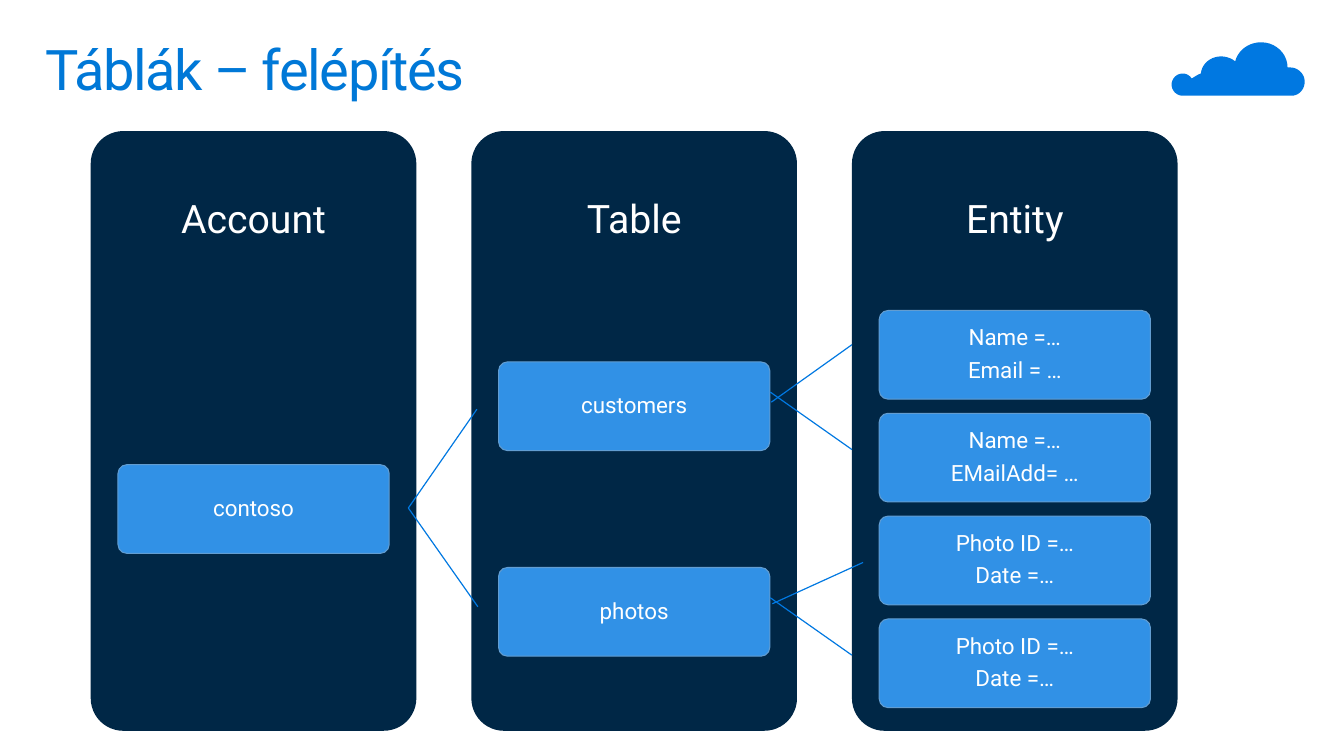
from dataclasses import dataclass

from lxml import etree
from pptx import Presentation
from pptx.dml.color import RGBColor
from pptx.enum.shapes import MSO_CONNECTOR, MSO_SHAPE
from pptx.enum.text import MSO_ANCHOR, PP_ALIGN
from pptx.oxml.ns import qn
from pptx.util import Inches, Pt

ROUNDED = MSO_SHAPE.ROUNDED_RECTANGLE
STRAIGHT = MSO_CONNECTOR.STRAIGHT
TOP, MIDDLE = MSO_ANCHOR.TOP, MSO_ANCHOR.MIDDLE
LEFT, CENTER = PP_ALIGN.LEFT, PP_ALIGN.CENTER


@dataclass(frozen=True)
class Theme:
    font: str = "Roboto"
    title: RGBColor = RGBColor(0x00, 0x78, 0xD7)
    accent: RGBColor = RGBColor(0x00, 0x78, 0xE1)
    column: RGBColor = RGBColor(0x00, 0x27, 0x46)
    card: RGBColor = RGBColor(0x31, 0x91, 0xE6)
    card_edge: RGBColor = RGBColor(0x62, 0x9D, 0xD1)
    white: RGBColor = RGBColor(0xFF, 0xFF, 0xFF)
    title_size: int = 40
    heading_size: int = 28
    card_size: int = 16


THEME = Theme()

COLUMN_LEFT, COLUMN_TOP = 0.9, 1.3
COLUMN_WIDTH, COLUMN_HEIGHT = 3.23, 5.95
COLUMN_PITCH = 7.55 / 2
HEADING_HEIGHT = 1.79
CARD_INDENT, CARD_WIDTH, CARD_HEIGHT = 0.27, 2.69, 0.88
CARD_TOP, CARD_PITCH = 3.08, 1.02

COLUMNS = [
    ("Account", [(1.5, ["contoso"])]),
    ("Table", [(0.5, ["customers"]), (2.5, ["photos"])]),
    ("Entity", [
        (0, ["Name =…", "Email = …"]),
        (1, ["Name =…", "EMailAdd= …"]),
        (2, ["Photo ID =…", "Date =…"]),
        (3, ["Photo ID =…", "Date =…"]),
    ]),
]

LINKS = [
    (4.05, 5.04, 4.73, 4.06),
    (4.05, 5.04, 4.74, 6.02),
    (7.65, 3.99, 8.45, 3.42),
    (7.64, 3.89, 8.45, 4.46),
    (7.66, 5.99, 8.56, 5.58),
    (7.64, 5.93, 8.45, 6.5),
]

CLOUD_START = (12.8, 0.67)
CLOUD_CURVES = [
    ((12.79, 0.67), (12.78, 0.67), (12.77, 0.67)),
    ((12.77, 0.53), (12.65, 0.42), (12.51, 0.42)),
    ((12.38, 0.42), (12.28, 0.5), (12.25, 0.61)),
    ((12.22, 0.58), (12.16, 0.56), (12.11, 0.56)),
    ((12.01, 0.56), (11.92, 0.63), (11.91, 0.73)),
    ((11.88, 0.74), (11.85, 0.76), (11.82, 0.78)),
    ((11.8, 0.75), (11.77, 0.73), (11.73, 0.73)),
    ((11.67, 0.73), (11.62, 0.78), (11.62, 0.84)),
    ((11.62, 0.9), (11.67, 0.95), (11.73, 0.95)),
    ((11.73, 0.95), (12.81, 0.95), (12.81, 0.95)),
    ((12.88, 0.95), (12.94, 0.89), (12.94, 0.81)),
    ((12.94, 0.73), (12.87, 0.67), (12.8, 0.67)),
]
CURVE_STEPS = 10


def curve_point(points, t):
    weights = ((1 - t) ** 3, 3 * t * (1 - t) ** 2, 3 * t**2 * (1 - t), t**3)
    return tuple(
        Inches(sum(weight * point[axis] for weight, point in zip(weights, points)))
        for axis in (0, 1)
    )


def add_cloud(page):
    outline = []
    start = CLOUD_START
    for curve in CLOUD_CURVES:
        for step in range(1, CURVE_STEPS + 1):
            outline.append(curve_point((start, *curve), step / CURVE_STEPS))
        start = curve[-1]
    builder = page.shapes.build_freeform(*map(Inches, CLOUD_START))
    builder.add_line_segments(outline, close=True)
    cloud = builder.convert_to_shape()
    cloud.shadow.inherit = False
    cloud.fill.solid()
    cloud.fill.fore_color.rgb = THEME.accent
    cloud.line.fill.background()


def write_text(box, lines, size, color, align, anchor, margins, gap):
    frame = box.text_frame
    frame.word_wrap = True
    frame.vertical_anchor = anchor
    frame.margin_left = frame.margin_right = Inches(margins[0])
    frame.margin_top = frame.margin_bottom = Inches(margins[1])
    for index, line in enumerate(lines):
        para = frame.add_paragraph() if index else frame.paragraphs[0]
        para.text = line
        para.alignment = align
        para.line_spacing = 0.9
        para.space_after = Pt(gap)
        para.font.name = THEME.font
        para.font.size = Pt(size)
        para.font.color.rgb = color


def add_rounded(page, left, top, width, height, fill, edge=None):
    box = page.shapes.add_shape(
        ROUNDED, Inches(left), Inches(top), Inches(width), Inches(height)
    )
    box.adjustments[0] = 0.1
    box.shadow.inherit = False
    box.fill.solid()
    box.fill.fore_color.rgb = fill
    if edge is None:
        box.line.fill.background()
    else:
        box.line.color.rgb = edge
        box.line.width = Pt(0.75)
    return box


def add_title(page, text):
    box = page.shapes.add_textbox(
        Inches(0.29), Inches(0.32), Inches(12.75), Inches(0.98)
    )
    write_text(box, [text], THEME.title_size, THEME.title, LEFT, TOP, (0.16, 0.1), 0)
    span = box.text_frame.paragraphs[0].runs[0]
    span._r.get_or_add_rPr().set("spc", "-100")


def add_column(page, left, heading):
    add_rounded(page, left, COLUMN_TOP, COLUMN_WIDTH, COLUMN_HEIGHT, THEME.column)
    box = page.shapes.add_textbox(
        Inches(left), Inches(COLUMN_TOP), Inches(COLUMN_WIDTH), Inches(HEADING_HEIGHT)
    )
    write_text(box, [heading], THEME.heading_size, THEME.white, CENTER, MIDDLE,
               (0.16, 0.16), 10)


def add_card(page, column_left, row, lines):
    box = add_rounded(page, column_left + CARD_INDENT, CARD_TOP + row * CARD_PITCH,
                      CARD_WIDTH, CARD_HEIGHT, THEME.card, THEME.card_edge)
    write_text(box, lines, THEME.card_size, THEME.white, CENTER, MIDDLE,
               (0.01, 0.01), 6)


def add_link(page, ends):
    link = page.shapes.add_connector(STRAIGHT, *map(Inches, ends))
    link.line.color.rgb = THEME.accent
    link.line.width = Pt(0.85)
    etree.SubElement(link._element.spPr, qn("a:effectLst"))


def main():
    deck = Presentation()
    deck.slide_width, deck.slide_height = Inches(13.33), Inches(7.5)
    page = deck.slides.add_slide(deck.slide_layouts[6])
    add_cloud(page)
    add_title(page, "Táblák – felépítés")
    for index, (heading, cards) in enumerate(COLUMNS):
        left = COLUMN_LEFT + index * COLUMN_PITCH
        add_column(page, left, heading)
        for row, lines in cards:
            add_card(page, left, row, lines)
    for ends in LINKS:
        add_link(page, ends)
    deck.save("out.pptx")


if __name__ == "__main__":
    main()
